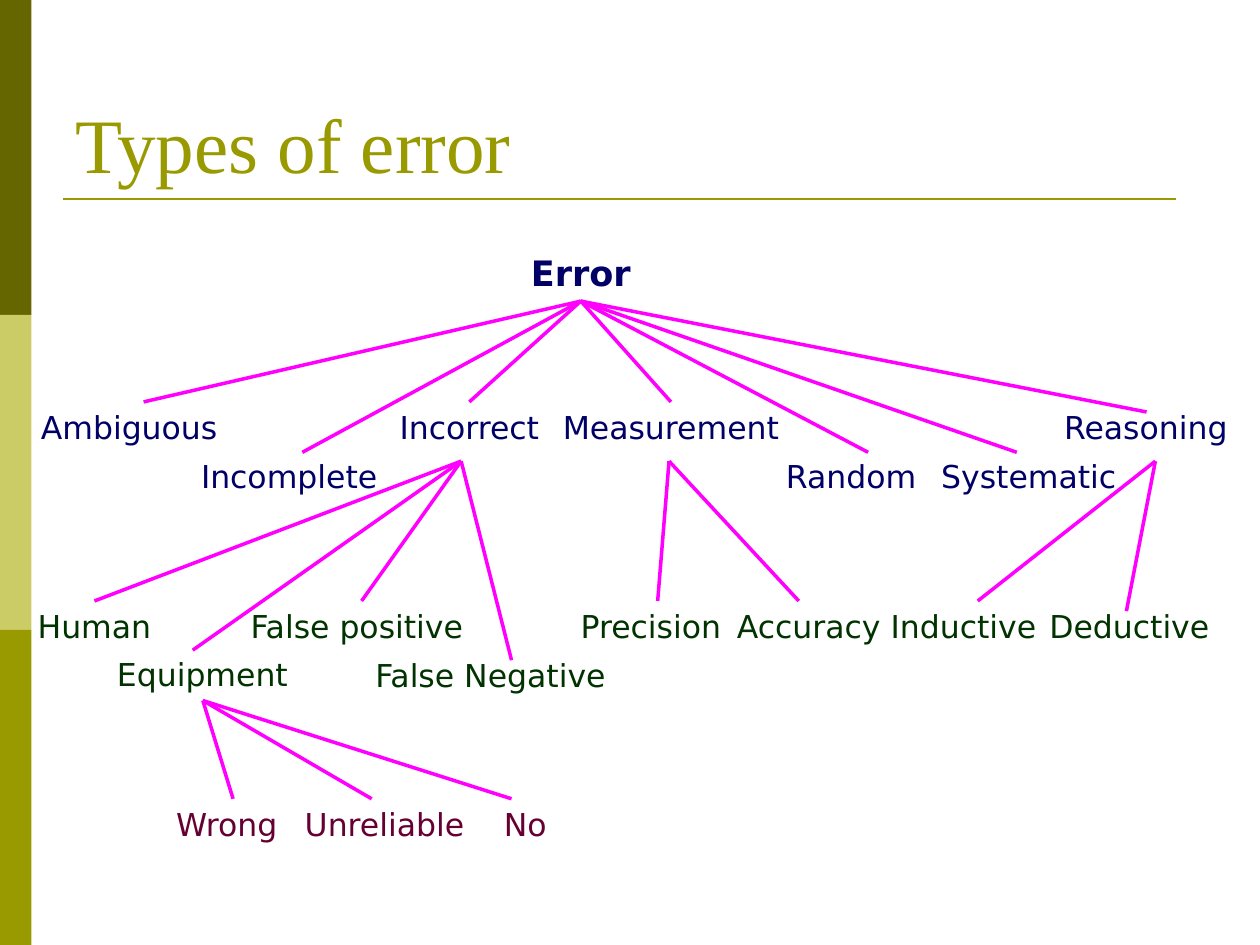
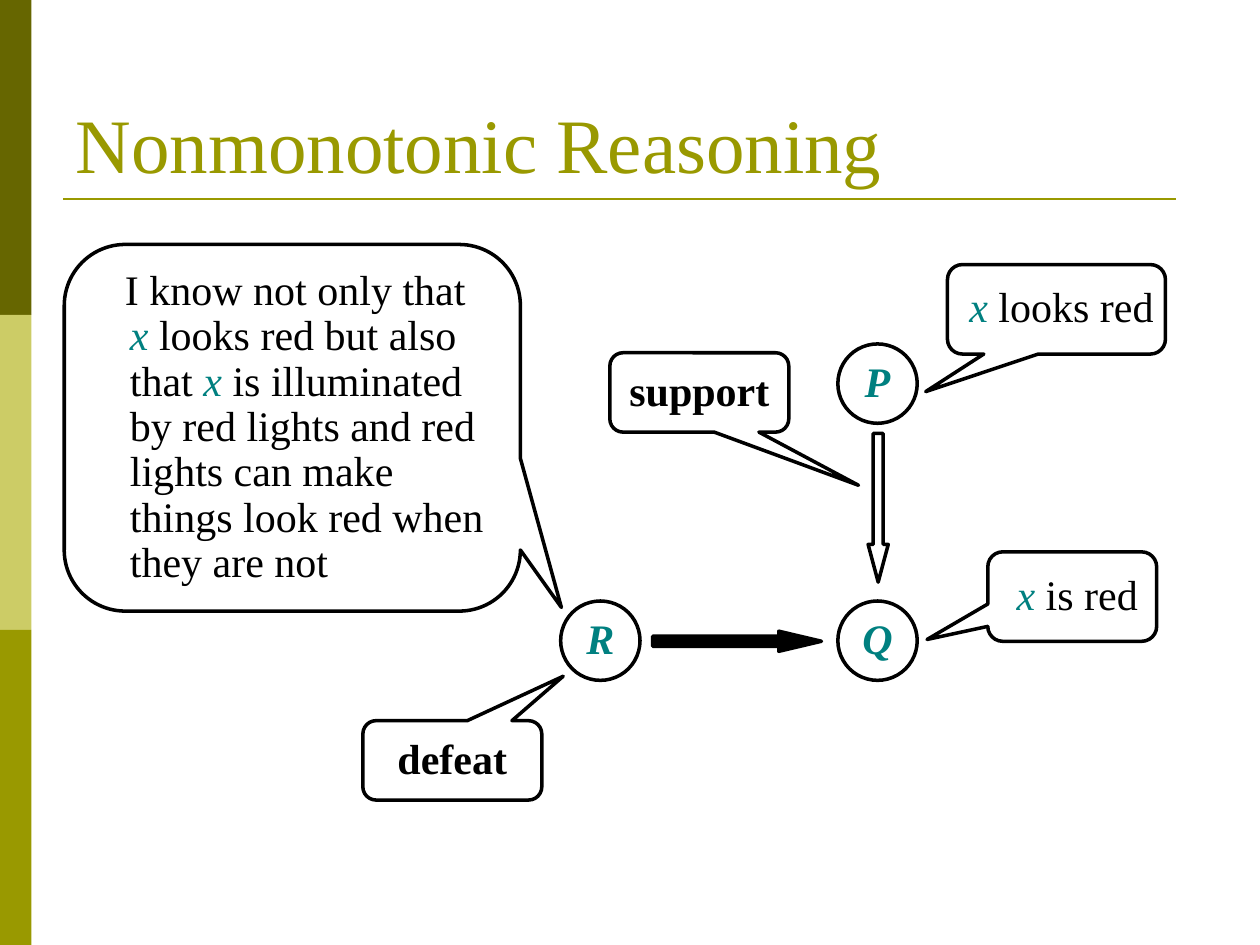
from lxml import etree
from pptx import Presentation
from pptx.dml.color import RGBColor
from pptx.enum.shapes import MSO_CONNECTOR, MSO_SHAPE as Shape
from pptx.enum.text import MSO_ANCHOR, MSO_AUTO_SIZE, PP_ALIGN
from pptx.oxml.ns import qn
from pptx.util import Inches, Pt

SERIF, SANS = "Times New Roman", "DejaVu Sans"
OLIVE, NAVY, GREEN, PLUM = "999900", "000066", "003300", "660033"
MAGENTA, TEAL, BLACK = "FF00FF", "008080", "000000"


def color(hex_value):
    return RGBColor.from_string(hex_value)


def add_line(slide, start, end, hex_value, weight):
    points = [Inches(value) for value in (*start, *end)]
    line = slide.shapes.add_connector(MSO_CONNECTOR.STRAIGHT, *points)
    line.line.color.rgb = color(hex_value)
    line.line.width = Pt(weight)
    etree.SubElement(line.element.spPr, qn("a:effectLst"))
    return line


presentation = Presentation()
presentation.slide_width, presentation.slide_height = Inches(10), Inches(7.5)
layout = presentation.slide_layouts[5]

slides = []
for title_text in ("Types of error", "Nonmonotonic Reasoning"):
    slide = presentation.slides.add_slide(layout)
    title = slide.shapes.title
    title.left, title.top = Inches(0.5), Inches(0.3)
    title.width, title.height = Inches(9), Inches(1.25)
    title.text_frame.text = title_text
    title.text_frame.auto_size = MSO_AUTO_SIZE.NONE
    title.text_frame.vertical_anchor = MSO_ANCHOR.BOTTOM
    paragraph = title.text_frame.paragraphs[0]
    paragraph.alignment = PP_ALIGN.LEFT
    paragraph.font.name, paragraph.font.size = SERIF, Pt(44)
    paragraph.font.color.rgb = color(OLIVE)
    slides.append(slide)
error_slide, reasoning_slide = slides

# Side bands and title rule: drawn once, then moved to the shared layout
decorations = [add_line(error_slide, (0.5, 1.58), (9.33, 1.58), OLIVE, 1.5)]
for index, band_color in enumerate(("666600", "CCCC66", OLIVE)):
    band = error_slide.shapes.add_shape(
        Shape.RECTANGLE, 0, Inches(2.5 * index), Inches(0.25), Inches(2.5))
    band.shadow.inherit = False
    band.fill.solid()
    band.fill.fore_color.rgb = color(band_color)
    band.line.fill.background()
    decorations.append(band)
for decoration in decorations:
    layout.shapes.element.append(decoration.element)

# Slide 1: label, left, top, width, parent, line end on the label
error_tree = [
    ("Error", 3.98, 1.95, 1.26, None, None),
    ("Ambiguous", 0.2, 3.19, 1.65, "Error", (1.14, 3.19)),
    ("Incomplete", 1.47, 3.58, 1.65, "Error", (2.4, 3.59)),
    ("Incorrect", 2.9, 3.19, 1.65, "Error", (3.74, 3.19)),
    ("Measurement", 4.34, 3.19, 1.97, "Error", (5.31, 3.19)),
    ("Random", 5.93, 3.58, 1.65, "Error", (6.89, 3.59)),
    ("Systematic", 7.34, 3.58, 1.65, "Error", (8.07, 3.59)),
    ("Reasoning", 8.31, 3.19, 1.57, "Error", (9.1, 3.27)),
    ("Human", 0.2, 4.77, 1.18, "Incorrect", (0.75, 4.77)),
    ("Equipment", 0.83, 5.15, 1.65, "Incorrect", (1.53, 5.16)),
    ("False positive", 1.89, 4.77, 2.05, "Incorrect", (2.87, 4.77)),
    ("False Negative", 2.88, 5.16, 2.05, "Incorrect", (4.06, 5.24)),
    ("Precision", 4.51, 4.77, 1.42, "Measurement", (5.24, 4.77)),
    ("Accuracy", 5.75, 4.77, 1.34, "Measurement", (6.34, 4.77)),
    ("Inductive", 6.97, 4.77, 1.42, "Reasoning", (7.76, 4.77)),
    ("Deductive", 8.23, 4.77, 1.57, "Reasoning", (8.94, 4.85)),
    ("Wrong", 1.3, 6.34, 1.18, "Equipment", (1.85, 6.34)),
    ("Unreliable", 2.32, 6.34, 1.65, "Equipment", (2.95, 6.34)),
    ("No", 3.9, 6.34, 0.94, "Equipment", (4.06, 6.34)),
]
branch_points = {"Error": (4.61, 2.4), "Incorrect": (3.66, 3.66), "Measurement": (5.31, 3.66),
                 "Reasoning": (9.17, 3.66), "Equipment": (1.61, 5.56)}
label_colors = {None: NAVY, "Error": NAVY, "Equipment": PLUM}

labels = {}
for text, left, top, width, parent, line_end in error_tree:
    is_root = parent is None
    label = error_slide.shapes.add_textbox(
        Inches(left), Inches(top), Inches(width), Inches(0.44 if is_root else 0.4))
    labels[text] = label
    label.text_frame.text = text
    label.text_frame.word_wrap = True
    label.text_frame.auto_size = MSO_AUTO_SIZE.SHAPE_TO_FIT_TEXT
    paragraph = label.text_frame.paragraphs[0]
    paragraph.alignment = PP_ALIGN.CENTER if parent in (None, "Error") else PP_ALIGN.LEFT
    paragraph.font.name, paragraph.font.size = SANS, Pt(20 if is_root else 18)
    paragraph.font.bold = is_root
    paragraph.font.color.rgb = color(label_colors.get(parent, GREEN))
    if is_root:
        continue
    branch = add_line(error_slide, branch_points[parent], line_end, MAGENTA, 2)
    if parent == "Error":
        branch.begin_connect(labels[parent], 2)
    if abs(left + width / 2 - line_end[0]) < 0.03 and line_end[1] == top:
        branch.end_connect(label, 0)

# Slide 2: kind, box, adjustments, text with |variables| marked, bold, margin, indent
CALLOUT = Shape.ROUNDED_RECTANGULAR_CALLOUT
evidence = ("I know not only that |x| looks red but also that |x| is illuminated by red lights "
            "and red lights can make things look red when they are not")
diagram = [
    (Shape.OVAL, (6.65, 2.73, 0.63, 0.63), (), "|P|", True, 0, 0),
    (Shape.OVAL, (6.65, 4.77, 0.63, 0.63), (), "|Q|", True, 0, 0),
    (CALLOUT, (7.52, 2.1, 1.73, 0.71), (-0.6, 0.92), "|x| looks red", False, 0.08, 0),
    (CALLOUT, (7.84, 4.38, 1.34, 0.71), (-0.86, 0.48), "|x| is red", False, 0.08, 0),
    (Shape.DOWN_ARROW, (6.89, 3.44, 0.16, 1.18), (0.5, 1.87), "", False, 0, 0),
    (CALLOUT, (4.84, 2.8, 1.42, 0.63), (0.89, 1.17), "support", True, 0, 0),
    (Shape.OVAL, (4.45, 4.77, 0.63, 0.63), (), "|R|", True, 0, 0),
    (CALLOUT, (0.51, 1.94, 3.62, 2.91), (0.59, 0.49), evidence, False, 0.38, -0.04),
    (Shape.RIGHT_ARROW, (5.18, 5.01, 1.34, 0.16), (0.5, 2.12), "", False, 0, 0),
    (CALLOUT, (2.88, 5.72, 1.42, 0.63), (0.62, -1.06), "defeat", True, 0, 0),
]
for kind, box, adjustments, text, bold, margin, indent in diagram:
    shape = reasoning_slide.shapes.add_shape(kind, *[Inches(value) for value in box])
    shape.shadow.inherit = False
    for index, value in enumerate(adjustments):
        shape.adjustments[index] = value
    if kind == Shape.RIGHT_ARROW:
        shape.fill.solid()
        shape.fill.fore_color.rgb = color(BLACK)
    else:
        shape.fill.background()
    shape.line.color.rgb = color(BLACK)
    shape.line.width = Pt(2)
    if not text:
        continue

    frame = shape.text_frame
    frame.word_wrap = kind != Shape.OVAL
    frame.vertical_anchor = MSO_ANCHOR.MIDDLE
    frame.margin_left = frame.margin_top = frame.margin_bottom = 0
    frame.margin_right = Inches(0.08 if text == evidence else 0)
    paragraph = frame.paragraphs[0]
    properties = paragraph._p.get_or_add_pPr()
    properties.set("marL", str(Inches(margin)))
    properties.set("indent", str(Inches(indent)))
    paragraph.alignment = PP_ALIGN.LEFT if text == evidence else PP_ALIGN.CENTER
    paragraph.line_spacing = 0.9
    paragraph.font.name, paragraph.font.size = SERIF, Pt(24)
    paragraph.font.bold = bold
    for index, part in enumerate(text.split("|")):
        if part:
            is_variable = index % 2 == 1
            run = paragraph.add_run()
            run.text = part
            run.font.italic = is_variable
            run.font.color.rgb = color(TEAL if is_variable else BLACK)

presentation.save("out.pptx")
